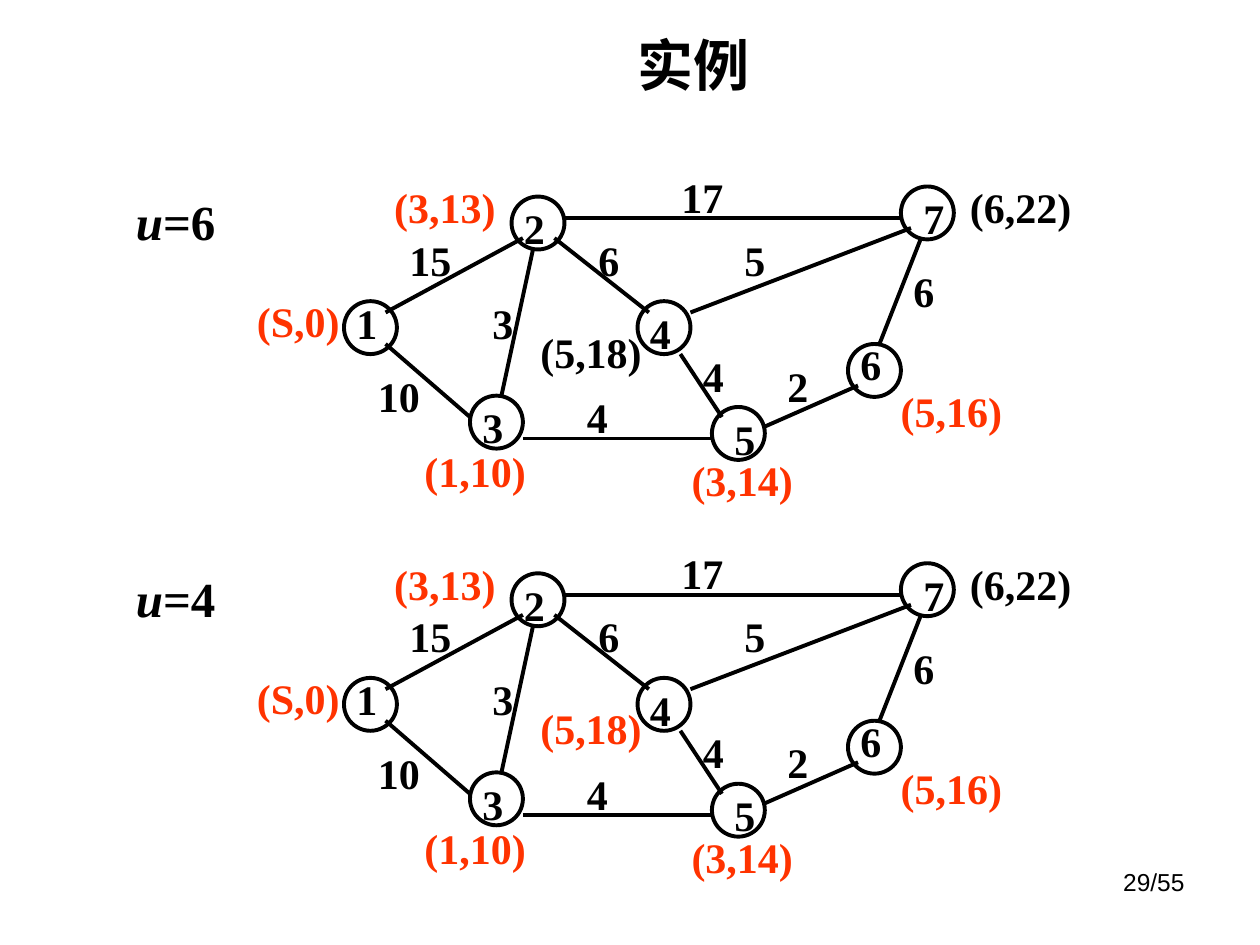
from pptx import Presentation
from pptx.dml.color import RGBColor
from pptx.enum.shapes import MSO_CONNECTOR, MSO_SHAPE
from pptx.enum.text import MSO_ANCHOR, MSO_AUTO_SIZE, PP_ALIGN
from pptx.oxml.ns import qn
from pptx.util import Inches, Pt
from lxml import etree

BLACK = RGBColor(0x00, 0x00, 0x00)
RED = RGBColor(0xFF, 0x33, 0x00)
SERIF = "Times New Roman"
LINE_WIDTH = Pt(2.25)
NODE_SIZE = 0.42
GRAPH_PITCH = 2.99

# Node: name, circle left and top, label left and top
NODES = [
    ("1", 2.73, 2.39, 2.73, 2.31),
    ("2", 4.06, 1.56, 4.06, 1.56),
    ("3", 3.73, 3.14, 3.73, 3.14),
    ("4", 5.06, 2.39, 5.06, 2.39),
    ("5", 5.65, 3.23, 5.73, 3.23),
    ("6", 6.73, 2.73, 6.73, 2.64),
    ("7", 7.15, 1.48, 7.23, 1.48),
]
# Edge: start x and y, end x and y, weight, weight left, top and width
EDGES = [
    (3.06, 2.48, 4.15, 1.89, "15", 3.15, 1.81, 0.67),
    (3.06, 2.73, 3.73, 3.31, "10", 2.90, 2.89, 0.67),
    (4.23, 1.98, 3.98, 3.14, "3", 3.81, 2.31, 0.5),
    (4.48, 1.73, 7.15, 1.73, "17", 5.31, 1.31, 0.67),
    (4.40, 1.89, 5.15, 2.48, "6", 4.65, 1.81, 0.67),
    (5.48, 2.48, 7.23, 1.81, "5", 5.81, 1.81, 0.67),
    (5.40, 2.81, 5.73, 3.31, "4", 5.48, 2.73, 0.67),
    (4.15, 3.48, 5.65, 3.48, "4", 4.56, 3.06, 0.67),
    (6.06, 3.39, 6.81, 3.06, "2", 6.15, 2.81, 0.67),
    (7.31, 1.89, 6.98, 2.73, "6", 7.15, 2.06, 0.67),
]
# Distance label: text, left, top, width
DISTANCES = [
    ("(S,0)", 1.94, 2.30, 0.93),
    ("(3,13)", 3.03, 1.39, 1.1),
    ("(1,10)", 3.27, 3.49, 1.26),
    ("(5,18)", 4.19, 2.54, 1.1),
    ("(3,14)", 5.39, 3.56, 1.1),
    ("(6,22)", 7.60, 1.39, 1.1),
    ("(5,16)", 7.05, 3.01, 1.1),
]
# Current node and the labels not yet permanent
STEPS = [("6", {"(5,18)", "(6,22)"}), ("4", {"(6,22)"})]


def add_label(shapes, text, left, top, width, height=0.5, size=24, color=BLACK,
              name=SERIF, bold=True):
    box = shapes.add_textbox(Inches(left), Inches(top), Inches(width), Inches(height))
    box.text_frame.word_wrap = True
    box.text_frame.auto_size = MSO_AUTO_SIZE.SHAPE_TO_FIT_TEXT
    paragraph = box.text_frame.paragraphs[0]
    paragraph.text = text
    paragraph.font.name = name
    paragraph.font.size = Pt(size)
    paragraph.font.bold = bold
    paragraph.font.color.rgb = color
    return paragraph


presentation = Presentation()
presentation.slide_width = Inches(10)
presentation.slide_height = Inches(7.5)
slide = presentation.slides.add_slide(presentation.slide_layouts[5])

# Title
title = slide.shapes.title
title.left, title.top = Inches(2.16), Inches(0.28)
title.width, title.height = Inches(6.69), Inches(0.46)
title.text_frame.text = "实例"
title.text_frame.auto_size = MSO_AUTO_SIZE.NONE
title.text_frame.vertical_anchor = MSO_ANCHOR.MIDDLE
paragraph = title.text_frame.paragraphs[0]
paragraph.alignment = PP_ALIGN.CENTER
paragraph.font.name = SERIF
paragraph.font.size = Pt(32)
paragraph.font.bold = True
paragraph.font.color.rgb = BLACK

# One graph for each step of the algorithm
for step, (current, tentative) in enumerate(STEPS):
    offset = step * GRAPH_PITCH
    shapes = slide.shapes.add_group_shape().shapes

    # Node circles
    for node, left, top, label_left, label_top in NODES:
        circle = shapes.add_shape(MSO_SHAPE.OVAL, Inches(left), Inches(top + offset),
                                  Inches(NODE_SIZE), Inches(NODE_SIZE))
        circle.shadow.inherit = False
        circle.fill.background()
        circle.line.color.rgb = BLACK
        circle.line.width = LINE_WIDTH

    # Edges
    for x1, y1, x2, y2, *_ in EDGES:
        edge = shapes.add_connector(MSO_CONNECTOR.STRAIGHT, Inches(x1), Inches(y1 + offset),
                                    Inches(x2), Inches(y2 + offset))
        edge.line.color.rgb = BLACK
        edge.line.width = LINE_WIDTH
        etree.SubElement(edge._element.spPr, qn("a:effectLst"))

    # Node names, edge weights and distance labels
    for node, left, top, label_left, label_top in NODES:
        add_label(shapes, node, label_left, label_top + offset, 0.33)
    for *_, weight, left, top, width in EDGES:
        add_label(shapes, weight, left, top + offset, width)
    for text, left, top, width in DISTANCES:
        color = BLACK if text in tentative else RED
        add_label(shapes, text, left, top + offset, width, color=color)

    # Current node
    paragraph = add_label(shapes, "u", 0.98, 1.47 + offset, 1.02, 0.57, size=28)
    paragraph.runs[0].font.italic = True
    paragraph.add_run().text = f"={current}"

# Page number
paragraph = add_label(slide.shapes, "29/55", 7.17, 6.83, 2.33, 0.52, size=14,
                      name="Arial", bold=False)
paragraph.alignment = PP_ALIGN.RIGHT

presentation.save("out.pptx")
